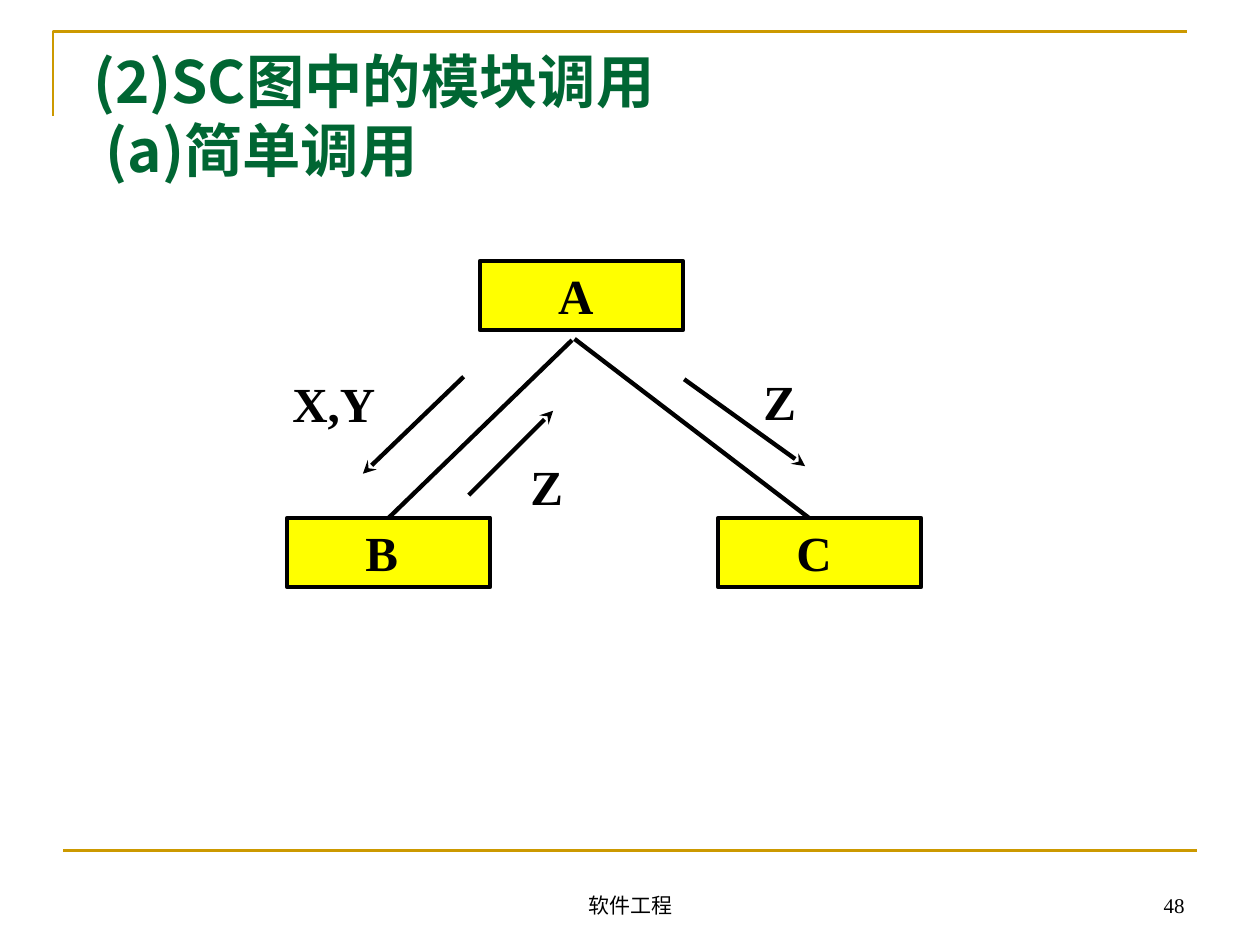
from lxml.etree import SubElement
from pptx import Presentation
from pptx.dml.color import RGBColor
from pptx.enum.shapes import MSO_CONNECTOR as Connector, MSO_SHAPE as Preset
from pptx.enum.text import MSO_ANCHOR as Anchor, PP_ALIGN as Align
from pptx.oxml.ns import qn
from pptx.util import Inches, Pt

GOLD = RGBColor(0xCC, 0x99, 0x00)
GREEN = RGBColor(0x00, 0x66, 0x33)
YELLOW = RGBColor(0xFF, 0xFF, 0x00)
BLACK = RGBColor(0x00, 0x00, 0x00)
SERIF = "Times New Roman"
CJK = "Noto Sans CJK SC"


def write(shape, lines, size, font, color=BLACK, bold=False, align=Align.LEFT,
          anchor=Anchor.TOP, insets=(0.08, 0.04), wrap=True):
    frame = shape.text_frame
    frame.text = "\n".join(lines)
    frame.word_wrap = wrap
    frame.vertical_anchor = anchor
    frame.margin_left = frame.margin_right = Inches(insets[0])
    frame.margin_top = frame.margin_bottom = Inches(insets[1])
    for paragraph in frame.paragraphs:
        paragraph.alignment = align
        for run in paragraph.runs:
            run.font.size = Pt(size)
            run.font.bold = bold
            run.font.color.rgb = color
            run.font.name = font
            SubElement(run.font._element, qn("a:ea")).set("typeface", CJK)
    return frame


def add_text(slide, box, lines, size, font, **style):
    return write(slide.shapes.add_textbox(*map(Inches, box)), lines, size, font, **style)


def add_line(slide, start, end, color=BLACK, width=2.5, arrow=False):
    line = slide.shapes.add_connector(Connector.STRAIGHT, *map(Inches, start + end))
    line.line.color.rgb = color
    line.line.width = Pt(width)
    if arrow:
        SubElement(line.line._get_or_add_ln(), qn("a:tailEnd")).set("type", "stealth")
    SubElement(line._element.spPr, qn("a:effectLst"))
    return line


def add_frame(slide, left, top, width, height):
    # Corner rule at the top
    builder = slide.shapes.build_freeform(Inches(left), Inches(top + height))
    builder.add_line_segments(
        [(Inches(left), Inches(top)), (Inches(left + width), Inches(top))], close=False)
    corner = builder.convert_to_shape()
    corner.shadow.inherit = False
    corner.fill.background()
    corner.line.color.rgb = GOLD
    corner.line.width = Pt(1.5)
    # Rule above the footer
    add_line(slide, (0.5, 6.75), (9.5, 6.75), GOLD, 1.5)


def add_title(slide, box):
    frame = add_text(slide, box, ["(2)SC图中的模块调用", "(a)简单调用"], 33.3, CJK,
                     color=GREEN, bold=True, insets=(0.1, 0.05))
    heading, subheading = frame.paragraphs
    heading.line_spacing = subheading.line_spacing = 0.8
    subheading.space_before = Pt(7.2)
    subheading._p.get_or_add_pPr().set("marL", str(Inches(0.1)))


def add_module(slide, name, left, top):
    module = slide.shapes.add_shape(
        Preset.RECTANGLE, Inches(left), Inches(top), Inches(1.61), Inches(0.55))
    module.shadow.inherit = False
    module.fill.solid()
    module.fill.fore_color.rgb = YELLOW
    module.line.color.rgb = BLACK
    module.line.width = Pt(2.5)
    frame = write(module, [name], 28, SERIF, bold=True)
    frame.paragraphs[0]._p.get_or_add_pPr().set("marL", str(Inches(0.54)))
    return module


def add_call_diagram(slide, left, top):
    def at(x, y):
        return left + x, top + y

    # Modules
    add_module(slide, "A", *at(1.57, 0))
    module_b = add_module(slide, "B", *at(0.04, 2.04))
    add_module(slide, "C", *at(3.46, 2.04))

    # Calls from A to B and C
    call_b = add_line(slide, at(2.3, 0.63), at(0.85, 2.04))
    call_b.end_connect(module_b, 0)
    add_line(slide, at(2.32, 0.62), at(4.18, 2.04))

    # Data passed along the calls: arrow start, arrow end, label, label box
    for start, end, label, corner, width in (
        ((1.44, 0.92), (0.64, 1.69), "X,Y", (0, 0.85), 0.91),
        ((1.48, 1.86), (2.15, 1.19), "Z", (1.89, 1.51), 0.5),
        ((3.19, 0.94), (4.15, 1.63), "Z", (3.74, 0.84), 0.5),
    ):
        add_line(slide, at(*start), at(*end), arrow=True)
        add_text(slide, (*at(*corner), width, 0.55), [label], 28, SERIF,
                 bold=True, wrap=False)


def add_footer(slide, top, height):
    for text, left, width, align in (("软件工程", 3.42, 3.17, Align.CENTER),
                                     ("48", 7.17, 2.33, Align.RIGHT)):
        add_text(slide, (left, top, width, height), [text], 12, SERIF, align=align,
                 anchor=Anchor.BOTTOM, insets=(0.1, 0.05))


def main():
    presentation = Presentation()
    presentation.slide_width = Inches(10)
    presentation.slide_height = Inches(7.5)
    slide = presentation.slides.add_slide(presentation.slide_layouts[6])
    add_frame(slide, 0.42, 0.25, 9, 0.67)
    add_title(slide, (0.64, 0.42, 9, 1.33))
    add_call_diagram(slide, 2.24, 2.07)
    add_footer(slide, 6.83, 0.5)
    presentation.save("out.pptx")


if __name__ == "__main__":
    main()
